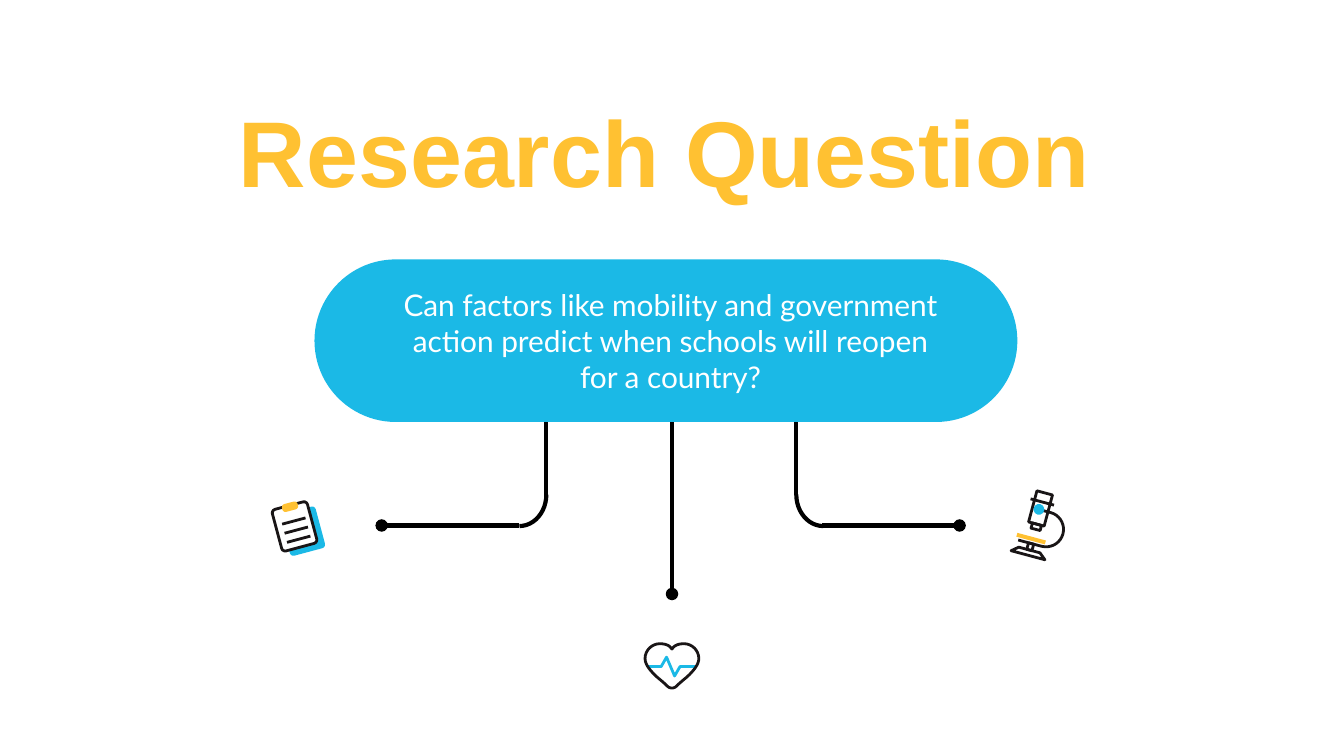
import math

from lxml import etree
from pptx import Presentation
from pptx.dml.color import RGBColor
from pptx.enum import shapes, text
from pptx.oxml import ns
from pptx.util import Inches, Pt

COLORS = {"blue": "1BB9E6", "yellow": "FFC132", "ink": "191516", "black": "000000", "white": "FFFFFF"}
PRESET = shapes.MSO_SHAPE


def paint(shape, fill=None, line=None, weight=1.5):
    """Set the fill and line of a shape, leaving out those not named."""
    shape.shadow.inherit = False
    if fill:
        shape.fill.solid()
        shape.fill.fore_color.rgb = RGBColor.from_string(COLORS[fill])
    else:
        shape.fill.background()
    if line:
        shape.line.color.rgb = RGBColor.from_string(COLORS[line])
        shape.line.width = Pt(weight)
    else:
        shape.line.fill.background()


def add_preset(parent, preset, box, fill=None, line=None, weight=1.5, adjustment=None):
    """Add a painted preset shape in a box given in inches."""
    shape = parent.shapes.add_shape(preset, *map(Inches, box))
    if adjustment is not None:
        shape.adjustments[0] = adjustment
    paint(shape, fill, line, weight)
    return shape


def add_line(parent, start, end, color="ink", weight=1.5, dot=False):
    """Add a straight line, with a round dot at its end if asked."""
    ends = map(Inches, (*start, *end))
    connector = parent.shapes.add_connector(shapes.MSO_CONNECTOR.STRAIGHT, *ends)
    connector.line.color.rgb = RGBColor.from_string(COLORS[color])
    connector.line.width = Pt(weight)
    if dot:
        etree.SubElement(connector.line._get_or_add_ln(), ns.qn("a:tailEnd"), type="oval")
    etree.SubElement(connector._element.spPr, ns.qn("a:effectLst"))


def add_outline(parent, left, top, points, color="ink", closed=False):
    """Draw a line through points measured from a corner."""
    corners = [(Inches(left + x), Inches(top + y)) for x, y in points]
    builder = parent.shapes.build_freeform(*corners[0])
    builder.add_line_segments(corners[1:], close=closed)
    paint(builder.convert_to_shape(), line=color)


def add_text(slide, box, content, font_name, size, color, bold=False, bottom=0.1):
    """Add a centred, wrapped text box."""
    frame = slide.shapes.add_textbox(*map(Inches, box)).text_frame
    frame.word_wrap = True
    frame.vertical_anchor = text.MSO_ANCHOR.MIDDLE
    frame.margin_left = frame.margin_right = frame.margin_top = Inches(0.1)
    frame.margin_bottom = Inches(bottom)
    frame.text = content
    paragraph = frame.paragraphs[0]
    paragraph.alignment = text.PP_ALIGN.CENTER
    font = paragraph.runs[0].font
    font.name, font.size, font.bold = font_name, Pt(size), bold
    font.color.rgb = RGBColor.from_string(COLORS[color])


def add_branch(slide, center, top, side):
    """Add a bent branch that leaves to the left (-1) or right (1)."""
    branch = slide.shapes.add_group_shape()
    stem, bend, tip = (center + side * offset for offset in (0.93, 1.13, 2.15))
    add_line(branch, (stem, top), (stem, top + 0.71), "black", 2.25)
    add_line(branch, (bend, top + 0.94), (tip, top + 0.94), "black", 2.25, dot=True)
    box = (bend - 0.23, top + 0.51, 0.47, 0.4)
    arc = add_preset(branch, PRESET.ARC, box, line="black", weight=2.25)
    arc.rotation = 90
    if side > 0:
        arc.rotation = 270
        arc._element.spPr.find(ns.qn("a:xfrm")).set("flipH", "1")


def add_clipboard(slide, left, top):
    """Add the tilted clipboard icon."""
    icon = slide.shapes.add_group_shape()
    add_preset(icon, PRESET.ROUNDED_RECTANGLE, (left + 0.05, top + 0.07, 0.27, 0.32), "blue", adjustment=0.1)
    add_preset(icon, PRESET.ROUNDED_RECTANGLE, (left, top + 0.02, 0.27, 0.32), "white", "ink", adjustment=0.1)
    add_preset(icon, PRESET.ROUNDED_RECTANGLE, (left + 0.08, top, 0.12, 0.06), "yellow", adjustment=0.4)
    for row in range(3):
        y = top + 0.14 + 0.07 * row
        add_line(icon, (left + 0.05, y), (left + 0.23, y))
    icon.rotation = 345


def add_microscope(slide, left, top):
    """Add the tilted microscope icon."""
    icon = slide.shapes.add_group_shape()
    add_preset(icon, PRESET.RECTANGLE, (left + 0.07, top, 0.12, 0.24), line="ink")
    add_preset(icon, PRESET.RECTANGLE, (left + 0.1, top + 0.24, 0.07, 0.04), line="ink")
    add_line(icon, (left + 0.04, top + 0.07), (left + 0.22, top + 0.07))
    angles = [math.radians(degrees) for degrees in range(-90, 91, 10)]
    bow = [(0.21 + 0.13 * math.cos(angle), 0.26 + 0.13 * math.sin(angle)) for angle in angles]
    add_outline(icon, left, top, [(0.12, 0.13), *bow, (0.03, 0.39)])
    add_preset(icon, PRESET.OVAL, (left + 0.08, top + 0.09, 0.08, 0.08), "blue")
    add_preset(icon, PRESET.RECTANGLE, (left + 0.01, top + 0.34, 0.22, 0.03), "yellow")
    add_preset(icon, PRESET.TRAPEZOID, (left, top + 0.44, 0.26, 0.04), line="ink", adjustment=1.2)
    add_preset(icon, PRESET.RECTANGLE, (left + 0.11, top + 0.39, 0.04, 0.05), line="ink")
    icon.rotation = 15


def sample_curve(start, first, second, end, steps=8):
    """Return points along a cubic curve, without its start."""
    points = []
    for step in range(1, steps + 1):
        t = step / steps
        weights = ((1 - t) ** 3, 3 * t * (1 - t) ** 2, 3 * t * t * (1 - t), t ** 3)
        pairs = list(zip(weights, (start, first, second, end)))
        points.append(tuple(sum(w * point[axis] for w, point in pairs) for axis in (0, 1)))
    return points


def add_heart(slide, left, top):
    """Add the heart icon with its pulse line."""
    icon = slide.shapes.add_group_shape()
    pulse = [(0.02, 0.17), (0.12, 0.17), (0.16, 0.1), (0.22, 0.24), (0.26, 0.17), (0.38, 0.17)]
    add_outline(icon, left, top, pulse, "blue")
    half = [(0.2, 0.04)]
    for curve in (
        ((0.22, 0.01), (0.25, 0), (0.29, 0)),
        ((0.35, 0), (0.4, 0.05), (0.4, 0.11)),
        ((0.4, 0.15), (0.37, 0.19), (0.33, 0.23)),
        ((0.3, 0.26), (0.27, 0.28), (0.24, 0.31)),
        ((0.23, 0.32), (0.22, 0.33), (0.2, 0.33)),
    ):
        half += sample_curve(half[-1], *curve)
    mirrored = [(0.4 - x, y) for x, y in reversed(half[1:-1])]
    add_outline(icon, left, top, half + mirrored, closed=True)


def add_question(slide, left, top, width, height):
    """Add the rounded panel that holds the question."""
    add_preset(slide, PRESET.ROUNDED_RECTANGLE, (left, top, width, height), "blue", adjustment=0.5)
    question = "Can factors like mobility and government action predict when schools will reopen for a country?"
    add_text(slide, (left + 0.5, top, 4.3, height), question, "Lato", 16, "white")


def main():
    """Build and save the research question slide."""
    presentation = Presentation()
    presentation.slide_width = Inches(10)
    presentation.slide_height = Inches(10) * 9 // 16
    slide = presentation.slides.add_slide(presentation.slide_layouts[6])
    add_line(slide, (5, 3.04), (5, 4.42), "black", 2.25, dot=True)
    for side in (1, -1):
        add_branch(slide, 4.99, 2.97, side)
    add_question(slide, 2.34, 1.93, 5.23, 1.21)
    add_clipboard(slide, 2.06, 3.73)
    add_microscope(slide, 7.58, 3.67)
    add_heart(slide, 4.8, 4.79)
    add_text(slide, (1.15, 0.59, 7.59, 1.21), "Research Question", "Arial", 50, "yellow", True, 0.26)
    presentation.save("out.pptx")


if __name__ == "__main__":
    main()
